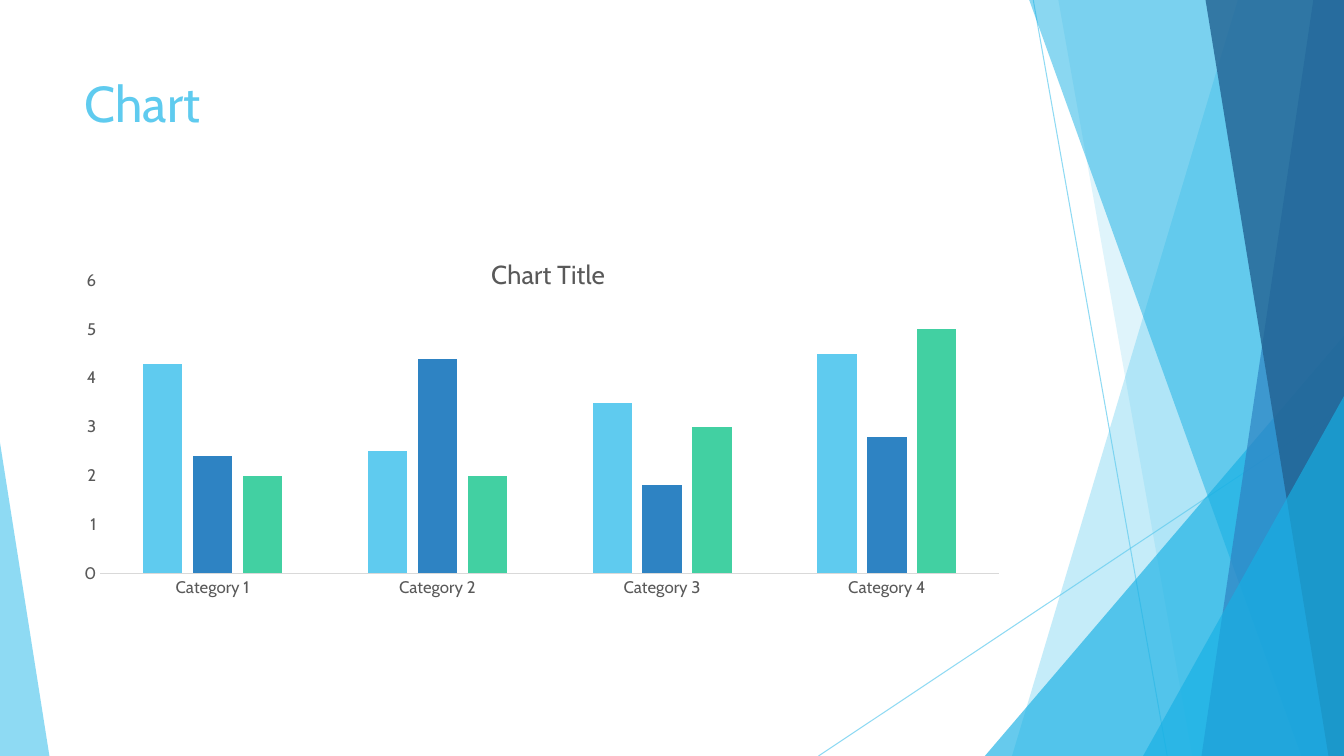
from dataclasses import dataclass

from lxml import etree
from pptx import Presentation, util as u
from pptx.chart.data import CategoryChartData
from pptx.dml.color import RGBColor
from pptx.enum import chart as ch, shapes as sh, text as tx
from pptx.oxml import parse_xml
from pptx.oxml.ns import nsdecls, qn

SKY = RGBColor(0x5F, 0xCB, 0xEF)
CYAN = RGBColor(0x17, 0xB0, 0xE4)
BLUE = RGBColor(0x2E, 0x83, 0xC3)
NAVY = RGBColor(0x22, 0x62, 0x92)
GREEN = RGBColor(0x42, 0xD0, 0xA2)
GREY = RGBColor(0x59, 0x59, 0x59)
PALE = RGBColor(0xD9, 0xD9, 0xD9)
FONT = "Cabin"
WIDTH, HEIGHT = u.Inches(13.333), u.Inches(7.5)


@dataclass
class Ray:
    start: tuple[float, float]
    end: tuple[float, float]


@dataclass
class Band:
    """A facet from its left edge to the right side of the slide."""
    top: float
    foot: float
    color: RGBColor
    alpha: int


@dataclass
class Peak:
    """A right-angled triangle standing on the bottom of the slide."""
    left: float
    top: float
    width: float
    apex: float
    color: RGBColor
    alpha: int


@dataclass
class Series:
    name: str
    values: tuple[float, ...]
    color: RGBColor


# Positions are percentages of the slide's width and height.
RAYS = [Ray((76.88, 0), (86.85, 100)), Ray((100, 53.73), (60.9, 100))]
FACETS = [
    Band(92.1, 75.3, SKY, 36),
    Band(78.75, 88.72, SKY, 20),
    Peak(73.28, 44.4, 26.72, 1, CYAN, 66),
    Band(76.58, 96.82, CYAN, 50),
    Band(97.72, 89.4, BLUE, 70),
    Band(89.7, 98.85, NAVY, 80),
    Peak(85.05, 52.4, 14.95, 1, CYAN, 66),
    Peak(0, 58.53, 3.68, 0, SKY, 70),
]
CATEGORIES = [f"Category {n}" for n in range(1, 5)]
SERIES = [
    Series("Series 1", (4.3, 2.5, 3.5, 4.5), SKY),
    Series("Series 2", (2.4, 4.4, 1.8, 2.8), BLUE),
    Series("Series 3", (2, 2, 3, 5), GREEN),
]
PLOT = {"x": 0.027, "y": 0.1, "w": 0.949, "h": 0.685}


def across(share: float) -> int:
    return round(WIDTH * share / 100)


def down(share: float) -> int:
    return round(HEIGHT * share / 100)


def fade(shape, alpha: int) -> None:
    """Set the opacity, in percent, of the shape's first solid colour."""
    color = next(shape._element.spPr.iter(qn("a:srgbClr")))
    etree.SubElement(color, qn("a:alpha")).set("val", str(alpha * 1000))


def style(font, size: float, color: RGBColor) -> None:
    font.name, font.size, font.bold = FONT, u.Pt(size), False
    font.color.rgb = color


def draw_ray(slide, ray: Ray) -> None:
    line = slide.shapes.add_connector(
        sh.MSO_CONNECTOR.STRAIGHT,
        across(ray.start[0]), down(ray.start[1]),
        across(ray.end[0]), down(ray.end[1]))
    line.line.color.rgb, line.line.width = SKY, u.Pt(0.75)
    fade(line, 70)
    etree.SubElement(line._element.spPr, qn("a:effectLst"))


def draw_facet(slide, facet: Band | Peak) -> None:
    if isinstance(facet, Band):
        path = slide.shapes.build_freeform(across(facet.top), 0)
        path.add_line_segments(
            [(WIDTH, 0), (WIDTH, HEIGHT), (across(facet.foot), HEIGHT)])
        shape = path.convert_to_shape()
    else:
        shape = slide.shapes.add_shape(
            sh.MSO_SHAPE.ISOSCELES_TRIANGLE, across(facet.left),
            down(facet.top), across(facet.width), down(100 - facet.top))
        shape.adjustments[0] = facet.apex
    shape.fill.solid()
    shape.fill.fore_color.rgb = facet.color
    shape.line.fill.background()
    shape.shadow.inherit = False
    fade(shape, facet.alpha)


def add_text(slide, words: str, *, left: float, top: float, width: float,
             height: float, size: float, color: RGBColor) -> None:
    box = slide.shapes.add_textbox(
        across(left), down(top), across(width), down(height))
    frame = box.text_frame
    frame.word_wrap = True
    frame.vertical_anchor = tx.MSO_ANCHOR.TOP
    frame.text = words
    style(frame.paragraphs[0].runs[0].font, size, color)


def place_plot(chart) -> None:
    """Fix the inner plot area as shares of the chart."""
    area = chart._chartSpace.chart.plotArea
    for old in area.findall(qn("c:layout")):
        area.remove(old)
    sizes = "".join(f'<c:{k} val="{v}"/>' for k, v in PLOT.items())
    area.insert(0, parse_xml(
        f'<c:layout {nsdecls("c")}><c:manualLayout>'
        '<c:layoutTarget val="inner"/><c:xMode val="edge"/>'
        f'<c:yMode val="edge"/>{sizes}</c:manualLayout></c:layout>'))


def add_bars(slide) -> None:
    data = CategoryChartData()
    data.categories = CATEGORIES
    for item in SERIES:
        data.add_series(item.name, item.values)
    chart = slide.shapes.add_chart(
        ch.XL_CHART_TYPE.COLUMN_CLUSTERED, across(5.55), down(31.47),
        across(70.5), down(56.53), data).chart
    style(chart.font, 12, GREY)
    chart.has_legend = False
    chart.has_title = True
    title = chart.chart_title.text_frame
    title.text = "Chart Title"
    style(title.paragraphs[0].runs[0].font, 18.6, GREY)

    plot = chart.plots[0]
    plot.gap_width, plot.overlap, plot.vary_by_categories = 219, -27, False
    for bars, item in zip(plot.series, SERIES):
        bars.format.fill.solid()
        bars.format.fill.fore_color.rgb = item.color

    for axis in (chart.category_axis, chart.value_axis):
        axis.major_tick_mark = axis.minor_tick_mark = ch.XL_TICK_MARK.NONE
        axis.has_major_gridlines = False
        style(axis.tick_labels.font, 12, GREY)
    base = chart.category_axis.format.line
    base.color.rgb, base.width = PALE, u.Pt(0.75)
    scale = chart.value_axis
    scale.minimum_scale, scale.maximum_scale, scale.major_unit = 0, 6, 1
    scale.format.line.fill.background()
    place_plot(chart)


def main() -> None:
    deck = Presentation()
    deck.slide_width, deck.slide_height = WIDTH, HEIGHT
    slide = deck.slides.add_slide(deck.slide_layouts[6])
    for ray in RAYS:
        draw_ray(slide, ray)
    for facet in FACETS:
        draw_facet(slide, facet)
    add_text(slide, "Chart", left=5.55, top=8.93, width=70.5, height=19.2,
             size=36, color=SKY)
    add_bars(slide)
    deck.save("out.pptx")


if __name__ == "__main__":
    main()
